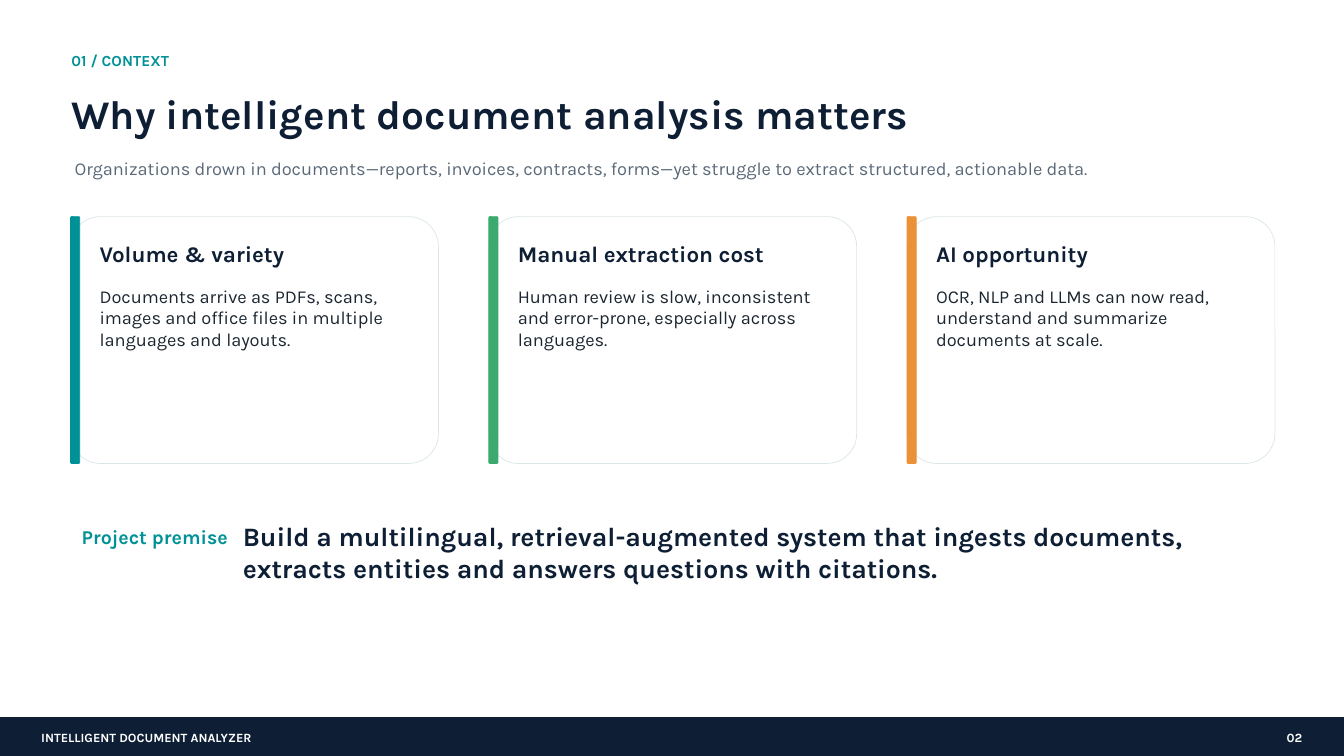
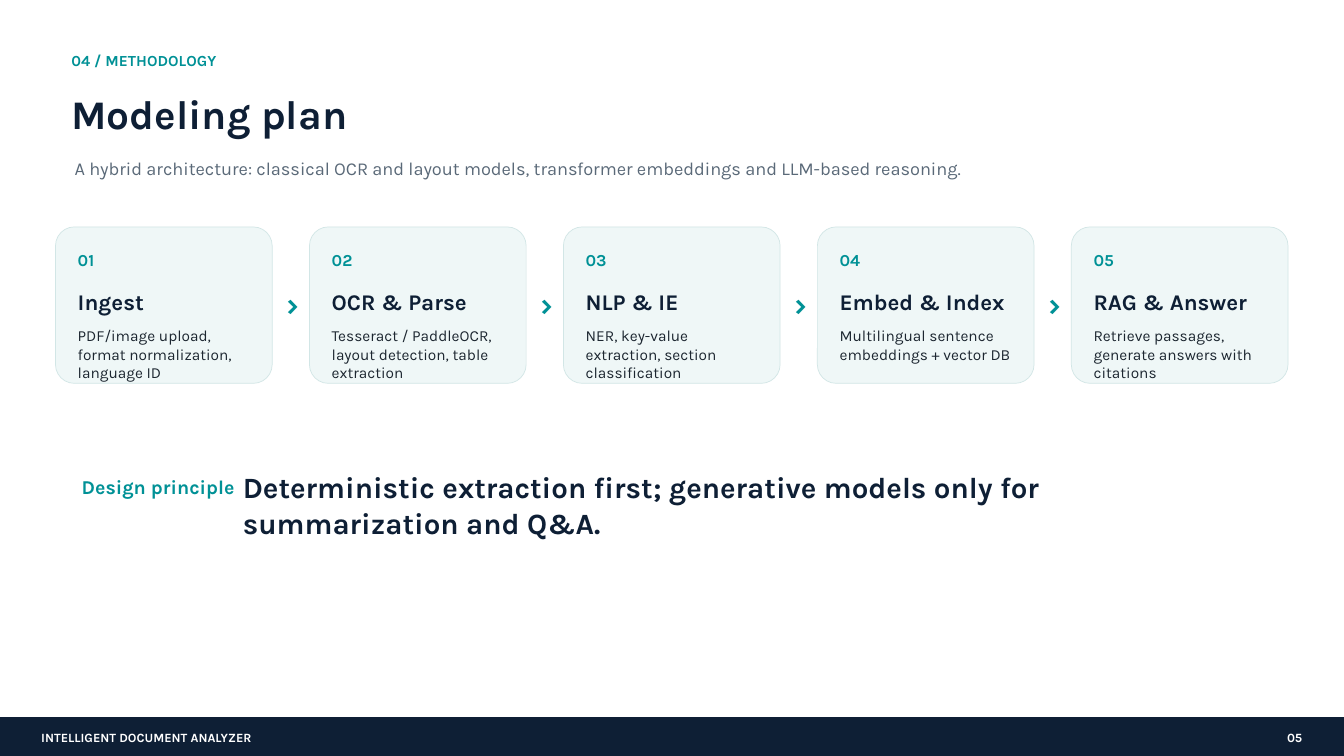
import pptx
import pptx.dml.color
import pptx.enum.shapes
import pptx.enum.text
import pptx.util

Cm = pptx.util.Cm
Pt = pptx.util.Pt
RGBColor = pptx.dml.color.RGBColor
SHAPE = pptx.enum.shapes.MSO_SHAPE
ALIGN = pptx.enum.text.PP_ALIGN
AUTO_SIZE = pptx.enum.text.MSO_AUTO_SIZE

NAVY = RGBColor(0x0E, 0x1F, 0x35)
TEAL = RGBColor(0x00, 0x91, 0x96)
GREEN = RGBColor(0x3C, 0xAA, 0x6E)
ORANGE = RGBColor(0xEB, 0x91, 0x37)
INK = RGBColor(0x1C, 0x26, 0x30)
SLATE = RGBColor(0x5A, 0x69, 0x78)
WHITE = RGBColor(0xFF, 0xFF, 0xFF)
MINT = RGBColor(0xEF, 0xF7, 0xF7)
CARD_EDGE = RGBColor(0xDC, 0xE6, 0xE8)
STEP_EDGE = RGBColor(0xD2, 0xE6, 0xE6)

FONT = "Karla"
SLIDE_W, SLIDE_H = 33.87, 19.05
INSET = 0.15
CORNER = 0.12
FOOTER_H = 0.97
FOOTER_TEXT = "INTELLIGENT DOCUMENT ANALYZER"


def style(size, color, bold=True):
    return {"name": FONT, "size": Pt(size), "bold": bold, "color": color}


SECTION = style(11, TEAL)
TITLE = style(29, NAVY)
SUBTITLE = style(13, SLATE, False)
FOOTER = style(9, WHITE)
HEADING = style(16, NAVY)
CARD_BODY = style(13, INK, False)
STEP_NUMBER = style(12, TEAL)
STEP_BODY = style(11, INK, False)
CHEVRON = style(24, TEAL)
STATEMENT_LABEL = style(14, TEAL)

CARDS = [
    ("Volume & variety", TEAL,
     "Documents arrive as PDFs, scans, images and office files in multiple "
     "languages and layouts."),
    ("Manual extraction cost", GREEN,
     "Human review is slow, inconsistent and error-prone, especially across "
     "languages."),
    ("AI opportunity", ORANGE,
     "OCR, NLP and LLMs can now read, understand and summarize documents at "
     "scale."),
]

STEPS = [
    ("Ingest", "PDF/image upload, format normalization, language ID"),
    ("OCR & Parse", "Tesseract / PaddleOCR, layout detection, table extraction"),
    ("NLP & IE", "NER, key-value extraction, section classification"),
    ("Embed & Index", "Multilingual sentence embeddings + vector DB"),
    ("RAG & Answer", "Retrieve passages, generate answers with citations"),
]


def add_text(slide, box, text, font_style, align=ALIGN.LEFT):
    label = slide.shapes.add_textbox(*map(Cm, box))
    frame = label.text_frame
    frame_format = {"word_wrap": True, "auto_size": AUTO_SIZE.SHAPE_TO_FIT_TEXT}
    for side in ("left", "top", "right", "bottom"):
        frame_format[f"margin_{side}"] = Cm(INSET)
    for key, value in frame_format.items():
        setattr(frame, key, value)
    paragraph = frame.paragraphs[0]
    paragraph.alignment = align
    run = paragraph.add_run()
    run.text = text
    for key, value in font_style.items():
        if key == "color":
            run.font.color.rgb = value
        else:
            setattr(run.font, key, value)


def add_panel(slide, box, fill, edge, kind=SHAPE.ROUNDED_RECTANGLE):
    panel = slide.shapes.add_shape(kind, *map(Cm, box))
    panel.shadow.inherit = False
    panel.fill.solid()
    panel.fill.fore_color.rgb = fill
    panel.line.color.rgb = edge
    panel.line.width = Pt(0.5)
    if kind == SHAPE.ROUNDED_RECTANGLE:
        panel.adjustments[0] = CORNER


def add_header(slide, left, top, section, title, subtitle):
    add_text(slide, (left, top, 13.21, 0.76), section, SECTION)
    add_text(slide, (left, top + 0.94, 29.72, 1.65), title, TITLE)
    add_text(slide, (left + 0.08, top + 2.67, 28.96, 1.02), subtitle, SUBTITLE)


def add_footer(slide, top, number):
    add_panel(slide, (0, top, SLIDE_W, FOOTER_H), NAVY, NAVY, SHAPE.RECTANGLE)
    text_top = top + 0.16
    add_text(slide, (0.89, text_top, 15.24, 0.56), FOOTER_TEXT, FOOTER)
    add_text(slide, (SLIDE_W - 1.79, text_top, 0.89, 0.56), number, FOOTER,
             ALIGN.RIGHT)


def add_card(slide, box, heading, accent, body):
    left, top, width, height = box
    add_panel(slide, box, WHITE, CARD_EDGE)
    add_panel(slide, (left, top, 0.23, height), accent, accent)
    text_left, text_width = left + 0.58, width - 0.89
    add_text(slide, (text_left, top + 0.43, text_width, 0.89), heading, HEADING)
    add_text(slide, (text_left, top + 1.57, text_width, height - 1.83), body,
             CARD_BODY)


def add_step(slide, box, number, heading, body):
    left, top, width, _ = box
    add_panel(slide, box, MINT, STEP_EDGE)
    text_left = left + 0.41
    add_text(slide, (text_left, top + 0.43, 1.07, 0.76), number, STEP_NUMBER)
    add_text(slide, (text_left, top + 1.4, width - 0.89, 0.76), heading, HEADING)
    add_text(slide, (text_left, top + 2.36, width - 0.84, 1.22), body, STEP_BODY)


def add_statement(slide, box, label, statement, size):
    """Place a short label with a large statement to its right."""
    left, top, width, height = box
    add_text(slide, (left, top + 0.13, 5.08, 0.76), label, STATEMENT_LABEL)
    add_text(slide, (left + 4.06, top, width - 4.06, height), statement,
             style(size, NAVY))


def add_page(deck, number, section, title, subtitle):
    """Add a blank slide with the shared header and footer."""
    slide = deck.slides.add_slide(deck.slide_layouts[6])
    add_header(slide, 1.65, 1.14, section, title, subtitle)
    add_footer(slide, SLIDE_H - FOOTER_H, number)
    return slide


def build_context(deck):
    slide = add_page(
        deck, "02", "01 / CONTEXT", "Why intelligent document analysis matters",
        "Organizations drown in documents—reports, invoices, contracts, "
        "forms—yet struggle to extract structured, actionable data.")
    width, gap = 9.27, 1.27
    for index, card in enumerate(CARDS):
        left = 1.78 + index * (width + gap)
        add_card(slide, (left, 5.46, width, 6.22), *card)
    add_statement(
        slide, (1.91, 12.95, 28.7, 1.4), "Project premise",
        "Build a multilingual, retrieval-augmented system that ingests "
        "documents, extracts entities and answers questions with citations.", 19)


def build_methodology(deck):
    slide = add_page(
        deck, "05", "04 / METHODOLOGY", "Modeling plan",
        "A hybrid architecture: classical OCR and layout models, transformer "
        "embeddings and LLM-based reasoning.")
    top, width, gap = 5.72, 5.46, 0.94
    for index, (heading, body) in enumerate(STEPS):
        left = 1.4 + index * (width + gap)
        add_step(slide, (left, top, width, 3.94), f"{index + 1:02}", heading, body)
        if index < len(STEPS) - 1:
            add_text(slide, (left + width + 0.2, top + 1.27, 0.64, 1.02), "›",
                     CHEVRON, ALIGN.CENTER)
    add_statement(
        slide, (1.91, 11.68, 27.43, 1.14), "Design principle",
        "Deterministic extraction first; generative models only for "
        "summarization and Q&A.", 21)


def main():
    deck = pptx.Presentation()
    deck.slide_width, deck.slide_height = Cm(SLIDE_W), Cm(SLIDE_H)
    build_context(deck)
    build_methodology(deck)
    deck.save("out.pptx")


if __name__ == "__main__":
    main()
